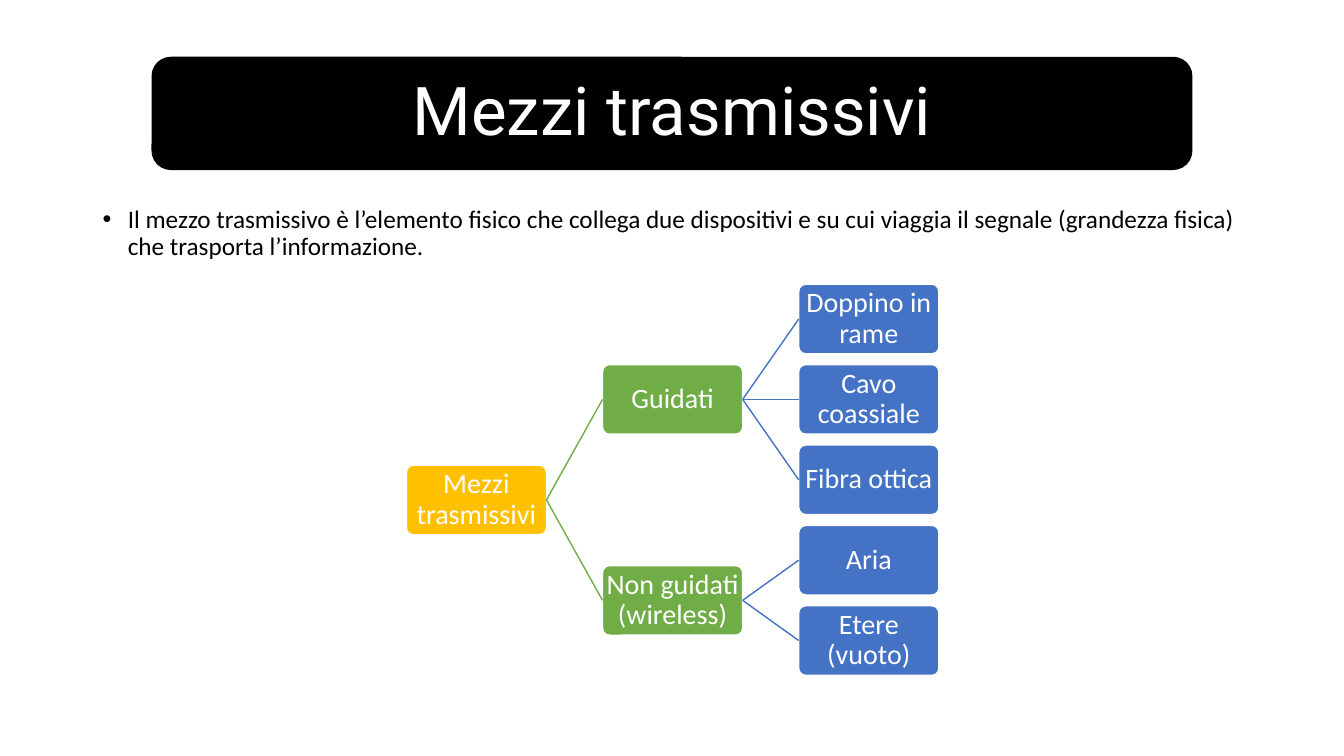
import pptx
import pptx.dml.color
import pptx.enum.shapes
import pptx.enum.text
import pptx.oxml.xmlchemy
import pptx.util
from dataclasses import dataclass

Inches = pptx.util.Inches
Pt = pptx.util.Pt
Align = pptx.enum.text.PP_ALIGN
Anchor = pptx.enum.text.MSO_ANCHOR


@dataclass(frozen=True)
class Theme:
    black: str = "000000"
    white: str = "FFFFFF"
    levels: tuple = ("FFC000", "70AD47", "4472C4")
    heading_font: str = "Roboto"
    body_font: str = "Calibri"
    heading_size: int = 48
    body_size: int = 18
    node_size: int = 20


THEME = Theme()
NODE_WIDTH, NODE_HEIGHT = 1.39, 0.69
TREE_LEFT, TREE_TOP = 4.03, 2.82
COLUMN_STEP = 1.4 * NODE_WIDTH
ROW_STEP = (6.01 - TREE_TOP) / 4
RIGHT_SITE, LEFT_SITE = 3, 1

MEDIA_TREE = ("Mezzi trasmissivi", [
    ("Guidati", [("Doppino in rame", []), ("Cavo coassiale", []), ("Fibra ottica", [])]),
    ("Non guidati (wireless)", [("Aria", []), ("Etere (vuoto)", [])]),
])


def color(value):
    return pptx.dml.color.RGBColor.from_string(value)


def append_element(parent, tag, **attributes):
    element = pptx.oxml.xmlchemy.OxmlElement(tag)
    for name, value in attributes.items():
        element.set(name, value)
    parent.append(element)


def write_text(shape, text, *, size, ink, font=THEME.body_font, align=Align.LEFT,
               anchor=Anchor.TOP, inset=None, bullet=False):
    frame = shape.text_frame
    frame.word_wrap = True
    frame.vertical_anchor = anchor
    if inset is not None:
        frame.margin_left = frame.margin_right = Inches(inset)
        frame.margin_top = frame.margin_bottom = Inches(inset)
    para = frame.paragraphs[0]
    para.alignment = align
    para.line_spacing = 0.9
    if bullet:
        add_bullet(para)
    span = para.add_run()
    span.text = text
    span.font.name = font
    span.font.size = Pt(size)
    span.font.color.rgb = color(ink)


def add_bullet(para):
    properties = para._p.get_or_add_pPr()
    properties.set("marL", str(Inches(0.25)))
    properties.set("indent", str(Inches(-0.25)))
    append_element(properties, "a:buFont", typeface="Arial")
    append_element(properties, "a:buChar", char="•")


def add_rounded_box(page, left, top, width, height, fill, line):
    box = page.shapes.add_shape(
        pptx.enum.shapes.MSO_SHAPE.ROUNDED_RECTANGLE,
        Inches(left), Inches(top), Inches(width), Inches(height))
    box.shadow.inherit = False
    box.fill.solid()
    box.fill.fore_color.rgb = color(fill)
    box.line.color.rgb = color(line)
    box.line.width = Pt(1)
    return box


def add_heading(page, text):
    box = add_rounded_box(page, 1.51, 0.57, 10.31, 1.11, THEME.black, THEME.black)
    write_text(box, text, size=THEME.heading_size, ink=THEME.white,
               font=THEME.heading_font, align=Align.CENTER, anchor=Anchor.MIDDLE)


def add_definition(page, text):
    box = page.shapes.add_textbox(Inches(0.92), Inches(2), Inches(11.5), Inches(0.75))
    write_text(box, text, size=THEME.body_size, ink=THEME.black, bullet=True)


def add_node(page, text, level, row):
    box = add_rounded_box(page, TREE_LEFT + level * COLUMN_STEP, TREE_TOP + row * ROW_STEP,
                          NODE_WIDTH, NODE_HEIGHT, THEME.levels[level], THEME.white)
    box.adjustments[0] = 0.1
    write_text(box, text, size=THEME.node_size, ink=THEME.white,
               align=Align.CENTER, anchor=Anchor.MIDDLE, inset=0.01)
    return box


def add_link(page, parent, child, line):
    link = page.shapes.add_connector(pptx.enum.shapes.MSO_CONNECTOR.STRAIGHT, 0, 0, 0, 0)
    link.begin_connect(parent, RIGHT_SITE)
    link.end_connect(child, LEFT_SITE)
    link.line.color.rgb = color(line)
    link.line.width = Pt(1)
    append_element(link._element.spPr, "a:effectLst")


def add_tree(page, tree, leaf_rows, level=0):
    text, branches = tree
    children = [add_tree(page, branch, leaf_rows, level + 1) for branch in branches]
    rows = [row for _, row in children]
    row = sum(rows) / len(rows) if rows else next(leaf_rows)
    node = add_node(page, text, level, row)
    for child, _ in children:
        add_link(page, node, child, THEME.levels[level + 1])
    return node, row


def main():
    deck = pptx.Presentation()
    deck.slide_width, deck.slide_height = Inches(13.33), Inches(7.5)
    page = deck.slides.add_slide(deck.slide_layouts[6])
    add_heading(page, "Mezzi trasmissivi")
    add_definition(page, "Il mezzo trasmissivo è l’elemento fisico che collega due dispositivi "
                         "e su cui viaggia il segnale (grandezza fisica) che trasporta "
                         "l’informazione.")
    add_tree(page, MEDIA_TREE, iter(range(5)))
    deck.save("out.pptx")


if __name__ == "__main__":
    main()
